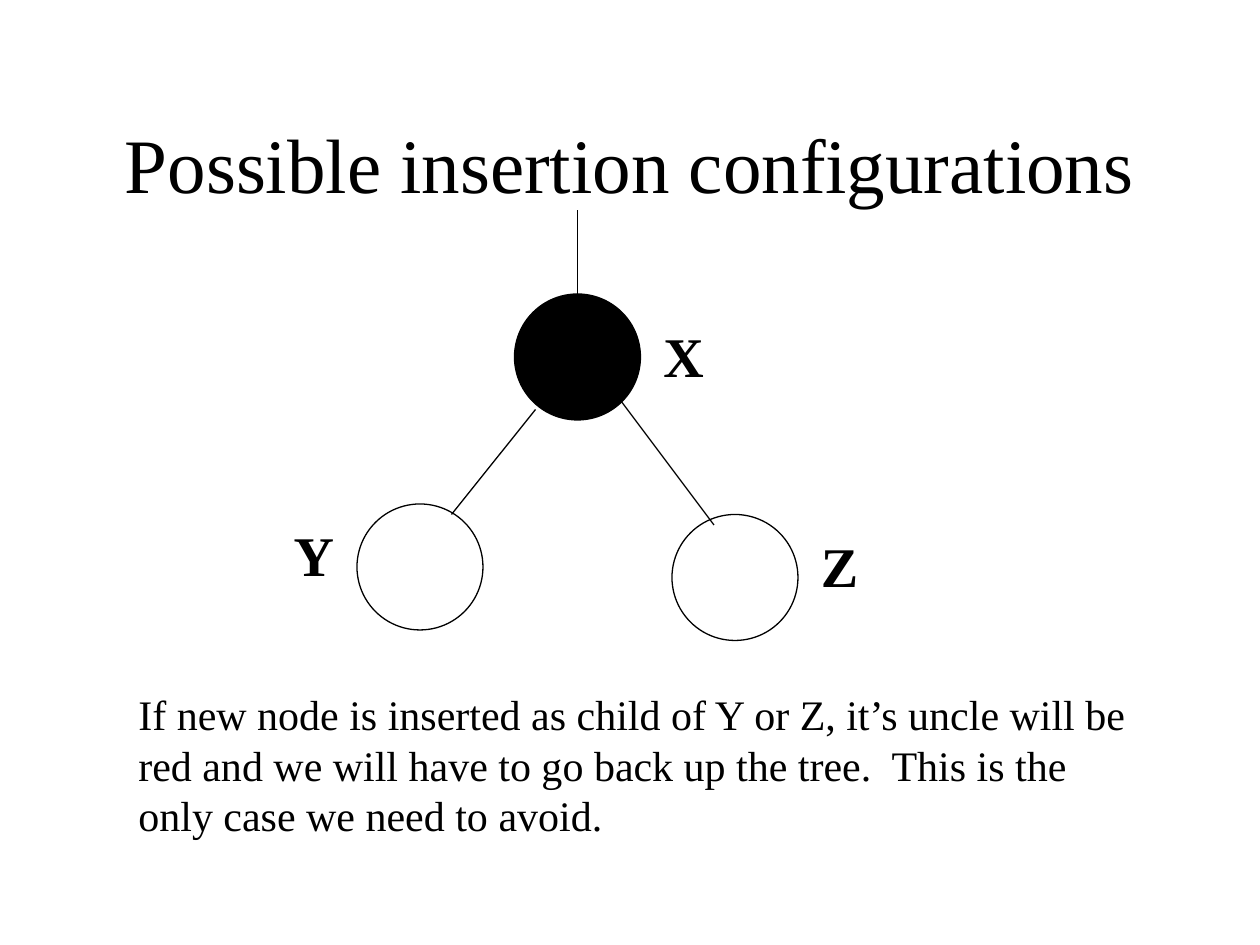
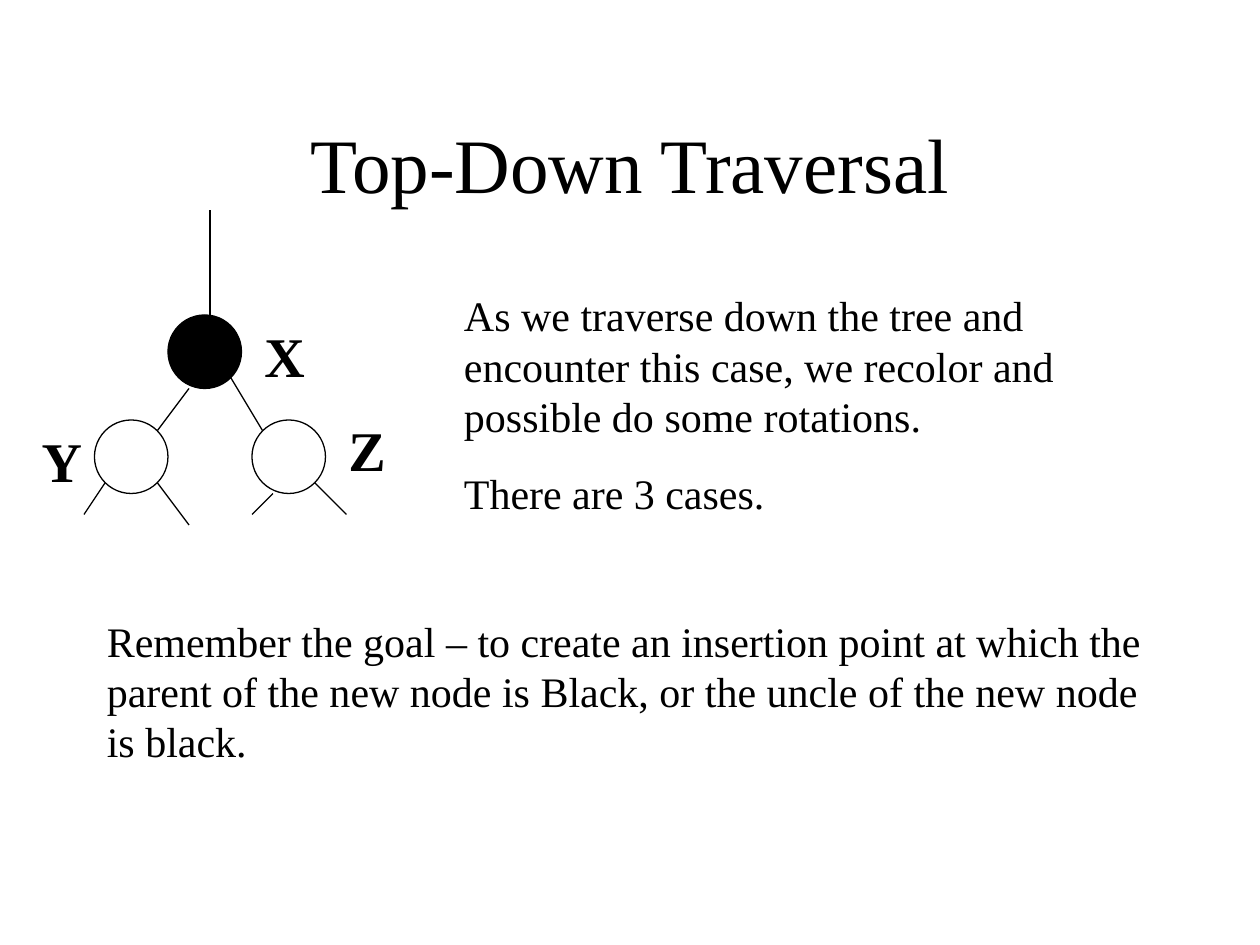
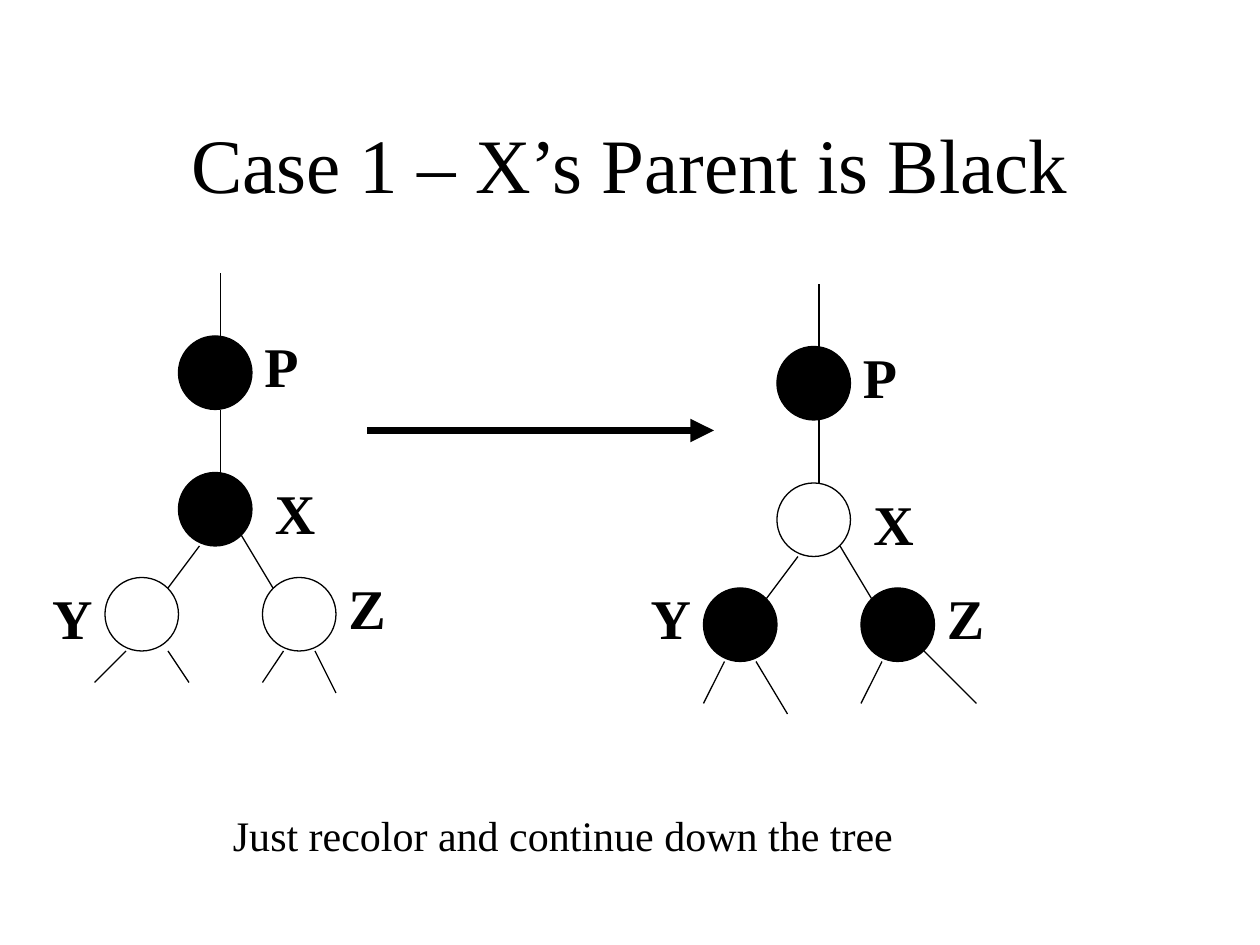
from lxml.etree import SubElement
from pptx import Presentation
from pptx.dml.color import RGBColor
from pptx.enum.shapes import MSO_CONNECTOR, MSO_SHAPE
from pptx.enum.text import MSO_ANCHOR, MSO_AUTO_SIZE, PP_ALIGN
from pptx.oxml.ns import qn
from pptx.util import Inches, Pt

COLORS = {"black": "000000", "white": "FFFFFF"}
FONT = "Times New Roman"
COLUMNS, ROWS = 120, 90

deck = Presentation()
deck.slide_width, deck.slide_height = Inches(10), Inches(7.5)
cell_width, cell_height = deck.slide_width / COLUMNS, deck.slide_height / ROWS


def add_text(page, text, column, row, width, height, size, before=0, bold=False, align=PP_ALIGN.LEFT):
    box = page.shapes.add_textbox(int(column * cell_width), int(row * cell_height),
                                  int(width * cell_width), int(height * cell_height))
    frame = box.text_frame
    frame.text = text
    frame.word_wrap = True
    frame.auto_size = MSO_AUTO_SIZE.NONE
    for para in frame.paragraphs:
        para.alignment = align
        para.space_before = Pt(before)
        for span in para.runs:
            span.font.name = FONT
            span.font.size = Pt(size)
            span.font.bold = bold
            span.font.color.rgb = RGBColor.from_string(COLORS["black"])
    return box


def add_line(page, start, end, weight=0.75):
    line = page.shapes.add_connector(
        MSO_CONNECTOR.STRAIGHT,
        int(start[0] * cell_width), int(start[1] * cell_height),
        int(end[0] * cell_width), int(end[1] * cell_height))
    line.line.color.rgb = RGBColor.from_string(COLORS["black"])
    line.line.width = Pt(weight)
    SubElement(line._element.spPr, qn("a:effectLst"))
    return line


pages = []
for title in ["Possible insertion configurations", "Top-Down Traversal", "Case 1 – X’s Parent is Black"]:
    page = deck.slides.add_slide(deck.slide_layouts[6])
    page.background.fill.solid()
    page.background.fill.fore_color.rgb = RGBColor.from_string(COLORS["white"])
    heading = add_text(page, title, 9, 8, 102, 15, 44, align=PP_ALIGN.CENTER)
    heading.text_frame.vertical_anchor = MSO_ANCHOR.MIDDLE
    pages.append(page)
insertion, traversal, recoloring = pages

nodes = [
    (insertion, 49, 28, 12, "black"),
    (insertion, 34, 48, 12, "white"),
    (insertion, 64, 49, 12, "white"),
]
edges = [
    (insertion, (51, 39), (43, 49)),
    (insertion, (59, 38), (68, 50)),
    (insertion, (55, 28), (55, 20)),
]
labels = [
    (insertion, "X", 62, 30, 6),
    (insertion, "Y", 24, 49, 9),
    (insertion, "Z", 77, 50, 7),
]

small_trees = [
    {"page": traversal, "x": (16, 30), "x_fill": "black", "child_fill": "white",
     "stem": 10, "parent": False, "y_label": (0, 40, 9), "z_label": (32, 39),
     "twigs": [((10, 46), (8, 49)), ((15, 46), (18, 50)), ((26, 47), (24, 49)), ((30, 46), (33, 49))]},
    {"page": recoloring, "x": (17, 45), "x_fill": "black", "child_fill": "white",
     "stem": 6, "parent": True, "y_label": (0, 55, 10), "z_label": (32, 54),
     "twigs": [((12, 62), (9, 65)), ((16, 62), (18, 65)), ((27, 62), (25, 65)), ((30, 62), (32, 66))]},
    {"page": recoloring, "x": (74, 46), "x_fill": "white", "child_fill": "black",
     "stem": 6, "parent": True, "y_label": (57, 55, 10), "z_label": (89, 55),
     "twigs": [((69, 63), (67, 67)), ((72, 63), (75, 68)), ((84, 63), (82, 67)), ((88, 62), (93, 67))]},
]
for tree in small_trees:
    page = tree["page"]
    column, row = tree["x"]
    nodes += [
        (page, column, row, 7, tree["x_fill"]),
        (page, column - 7, row + 10, 7, tree["child_fill"]),
        (page, column + 8, row + 10, 7, tree["child_fill"]),
    ]
    edges += [
        (page, (column + 2, row + 7), (column - 1, row + 11)),
        (page, (column + 6, row + 6), (column + 9, row + 11)),
        (page, (column + 4, row), (column + 4, row - tree["stem"])),
    ]
    edges += [(page, start, end) for start, end in tree["twigs"]]
    labels += [
        (page, "X", column + 8, row, 6),
        (page, "Y", *tree["y_label"]),
        (page, "Z", *tree["z_label"], 7),
    ]
    if tree["parent"]:
        nodes.append((page, column, row - 13, 7, "black"))
        edges.append((page, (column + 4, row - 13), (column + 4, row - 19)))
        labels.append((page, "P", column + 7, row - 14, 7))

for page, column, row, size, fill in nodes:
    node = page.shapes.add_shape(MSO_SHAPE.OVAL, int(column * cell_width), int(row * cell_height),
                                 int(size * cell_width), int(size * cell_height))
    node.shadow.inherit = False
    node.fill.solid()
    node.fill.fore_color.rgb = RGBColor.from_string(COLORS[fill])
    node.line.color.rgb = RGBColor.from_string(COLORS["black"])
    node.line.width = Pt(0.75)

for page, start, end in edges:
    add_line(page, start, end)

for page, letter, column, row, width in labels:
    align = PP_ALIGN.RIGHT if letter == "Y" else PP_ALIGN.LEFT
    add_text(page, letter, column, row, width, 7.7, 32, before=20, bold=True, align=align)

arrow = add_line(recoloring, (35, 41), (68, 41), weight=4.5)
SubElement(arrow.line._get_or_add_ln(), qn("a:tailEnd"), type="triangle")

notes = [
    (insertion, "If new node is inserted as child of Y or Z, it’s uncle will be red and we will have "
     "to go back up the tree.  This is the only case we need to avoid.", 12, 65, 97, 15.6),
    (traversal, "As we traverse down the tree and encounter this case, we recolor and possible do "
     "some rotations.\nThere are 3 cases.", 43, 27, 64, 22.9),
    (traversal, "Remember the goal – to create an insertion point at which the parent of the new node "
     "is Black, or the uncle of the new node is black.", 9, 58, 103, 15.6),
    (recoloring, "Just recolor and continue down the tree", 21, 76.5, 88, 6),
]
for page, text, column, row, width, height in notes:
    add_text(page, text, column, row, width, height, 24, before=15)

deck.save("out.pptx")
